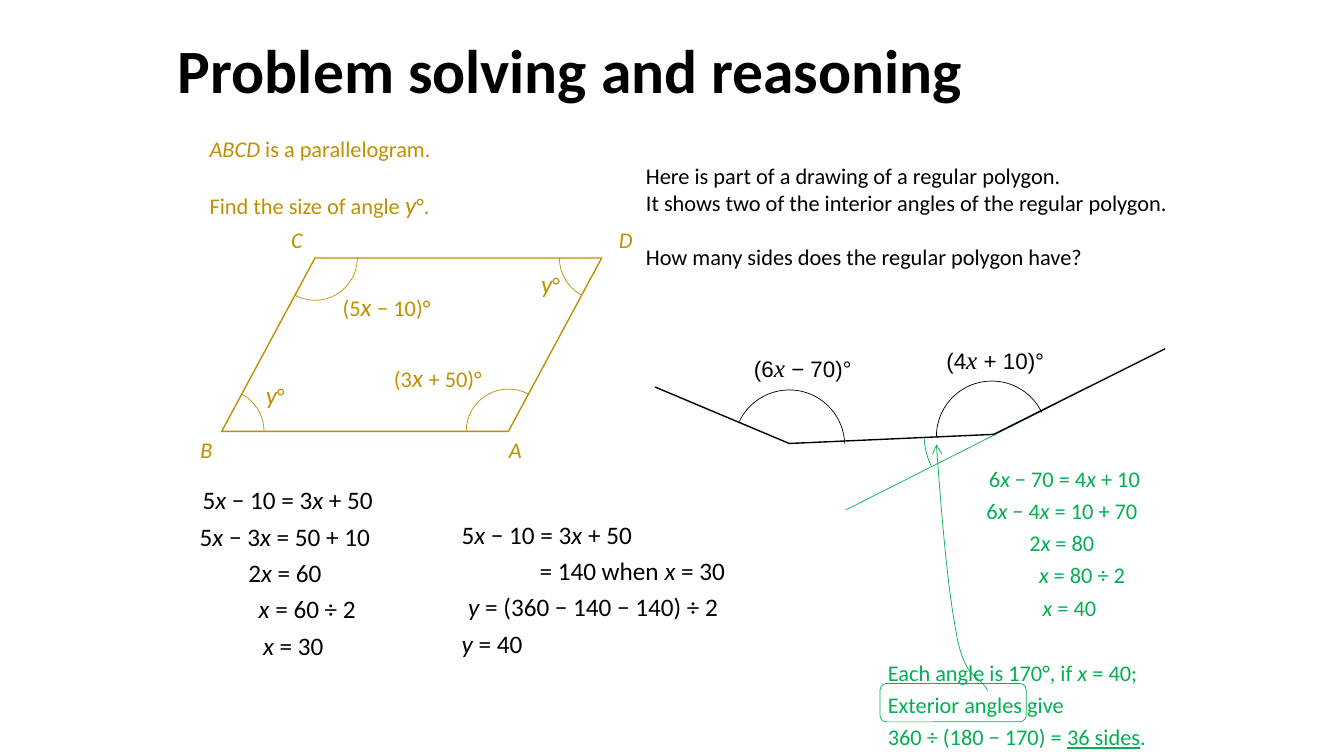
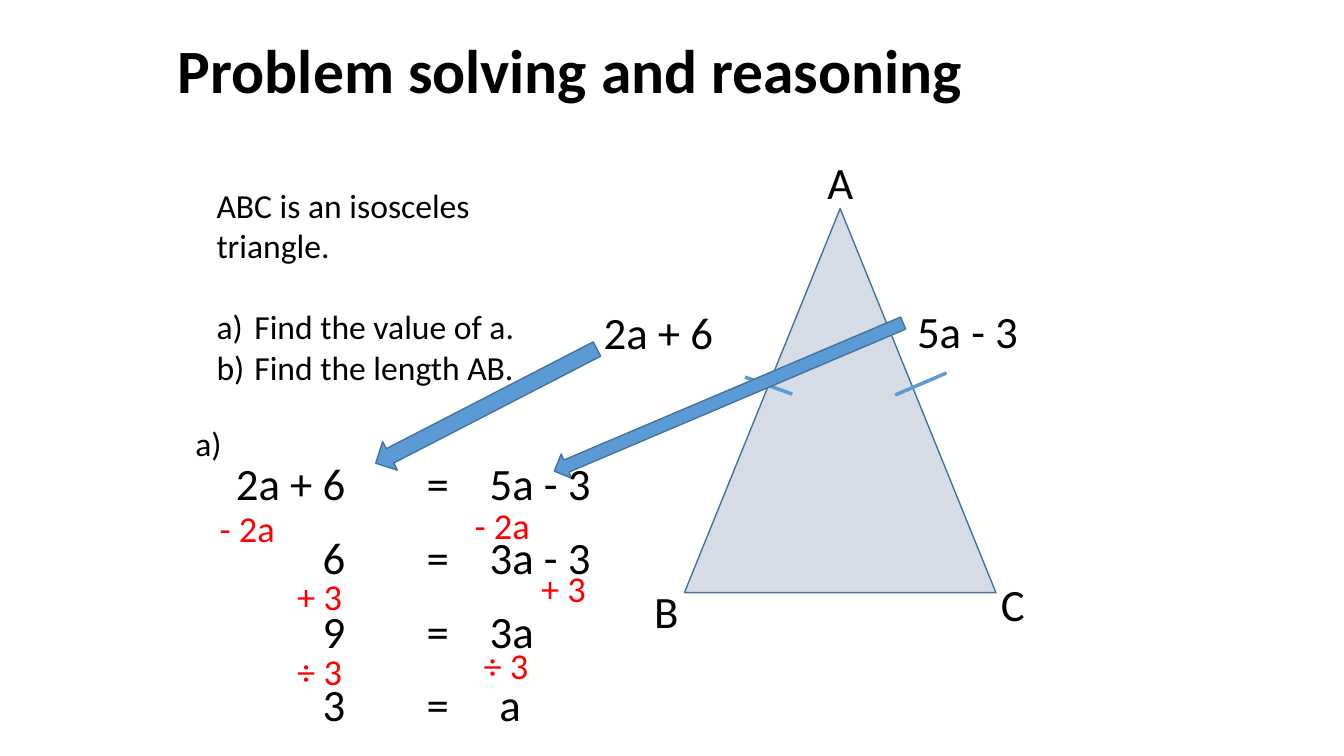
from dataclasses import dataclass
from math import atan2, degrees

from lxml.etree import SubElement
from pptx import Presentation
from pptx.dml.color import RGBColor
from pptx.enum.shapes import MSO_CONNECTOR as Connector, MSO_SHAPE as Preset
from pptx.enum.text import MSO_ANCHOR as Anchor, MSO_AUTO_SIZE as AutoSize, PP_ALIGN as Align
from pptx.oxml.ns import qn
from pptx.util import Pt

COLORS = {
    "black": "000000", "gold": "BF9000", "green": "00B050", "red": "FF0000",
    "blue": "5B9BD5", "edge": "43739E", "pale": "D6DCE5",
}


@dataclass
class Line:
    """One paragraph; the odd parts between bars are italic, or underlined after "_"."""
    text: str
    align: Align = Align.LEFT
    indent: float = 0
    before: float = 0
    numbered: bool = False
    tabs: tuple = ()
    accent: tuple = ()  # font and size of the italic parts


class Lesson:
    def __init__(self):
        self.deck = Presentation()
        self.deck.slide_width, self.deck.slide_height = Pt(960), Pt(540)
        self.page = None

    def new_page(self):
        self.page = self.deck.slides.add_slide(self.deck.slide_layouts[6])
        self.text((120, 0, 620.6, 104.4), "Problem solving and reasoning", size=44,
                  bold=True, spacing=0.9, anchor=Anchor.MIDDLE, grow=False)

    # Text
    def text(self, place, *lines, size=16, color="black", font="Calibri",
             bold=None, spacing=None, wrap=True, anchor=Anchor.TOP, grow=True):
        box = self.page.shapes.add_textbox(*map(Pt, place))
        frame = box.text_frame
        frame.word_wrap = wrap
        frame.auto_size = AutoSize.SHAPE_TO_FIT_TEXT if grow else AutoSize.NONE
        frame.vertical_anchor = anchor
        for index, line in enumerate(lines):
            if isinstance(line, str):
                line = Line(line)
            para = frame.paragraphs[0] if index == 0 else frame.add_paragraph()
            self.layout(para, line, spacing)
            para.font.name, para.font.size, para.font.bold = font, Pt(size), bold
            para.font.color.rgb = RGBColor.from_string(COLORS[color])
            self.spans(para, line)

    def layout(self, para, line, spacing):
        para.alignment = line.align
        if spacing:
            para.line_spacing = spacing
        if line.before:
            para.space_before = Pt(line.before)
        props = para._p.get_or_add_pPr()
        if line.indent:
            props.set("marL", str(Pt(line.indent)))
        if line.numbered:
            props.set("indent", str(-Pt(line.indent)))
            SubElement(props, qn("a:buAutoNum"), type="alphaLcParenR")
        if line.tabs:
            stops = SubElement(props, qn("a:tabLst"))
            for place, side in line.tabs:
                SubElement(stops, qn("a:tab"), pos=str(Pt(place)), algn=side)

    def spans(self, para, line):
        for index, part in enumerate(line.text.split("|")):
            if not part:
                continue
            span = para.add_run()
            span.text = part.lstrip("_")
            if index % 2 and part.startswith("_"):
                span.font.underline = True
            elif index % 2:
                span.font.italic = True
                if line.accent:
                    span.font.name, span.font.size = line.accent[0], Pt(line.accent[1])

    # Drawing
    def style(self, shape, line, width, fill=None):
        shape.shadow.inherit = False
        if fill:
            shape.fill.solid()
            shape.fill.fore_color.rgb = RGBColor.from_string(COLORS[fill])
        else:
            shape.fill.background()
        self.stroke(shape, line, width)

    def stroke(self, item, color, width):
        item.line.color.rgb = RGBColor.from_string(COLORS[color])
        item.line.width = Pt(width)

    def shape(self, preset, place, line, width, fill=None, turn=0, adjust=()):
        shape = self.page.shapes.add_shape(preset, *map(Pt, place))
        for index, value in enumerate(adjust):
            shape.adjustments[index] = value
        shape.rotation = turn
        self.style(shape, line, width, fill)

    def arc(self, center, radius, start, end, color):
        """Angles run clockwise from the right, in degrees."""
        x, y = center
        self.shape(Preset.ARC, (x - radius, y - radius, 2 * radius, 2 * radius), color, 0.5,
                   adjust=[angle % 360 * 0.6 for angle in (start, end)])

    def line(self, start, end, color, width):
        line = self.page.shapes.add_connector(Connector.STRAIGHT, *map(Pt, start + end))
        self.stroke(line, color, width)
        SubElement(line._element.spPr, qn("a:effectLst"))

    def polyline(self, points, color, width, arrow=False):
        first, *rest = [(Pt(x), Pt(y)) for x, y in points]
        builder = self.page.shapes.build_freeform(*first)
        builder.add_line_segments(rest, close=False)
        outline = builder.convert_to_shape()
        self.style(outline, color, width)
        if arrow:
            SubElement(outline.line._get_or_add_ln(), qn("a:tailEnd"), type="arrow")


def bezier(a, b, c, d, steps=16):
    for step in range(1, steps + 1):
        t = step / steps
        s = 1 - t
        yield tuple(s**3 * p + 3 * s * s * t * q + 3 * s * t * t * r + t**3 * u
                    for p, q, r, u in zip(a, b, c, d))


def solution(indent, *texts):
    """Centred working, shifted so that the equals signs come close together."""
    return [Line(text, Align.CENTER, steps * indent)
            for text, steps in zip(texts, (1, 0, 0, 8, 3))]


def parallelogram_question(lesson):
    large = ("Calibri", 18)
    lesson.text((142.6, 92.9, 174.2, 67.7), "|ABCD| is a parallelogram.",
                Line("Find the size of angle |y|°.", before=19.5, accent=large),
                color="gold", wrap=False)

    # Parallelogram and its angles
    left, top, width, height, skew = 158.4, 184.3, 271.4, 123.8, 66.6
    right, bottom = left + width, top + height
    lesson.shape(Preset.PARALLELOGRAM, (left, top, width, height), "gold", 1,
                 adjust=[skew / height])
    slant = 180 - degrees(atan2(height, skew))
    for center, start, end in [
        ((right, top), slant, 180),
        ((left, bottom), slant + 180, 360),
        ((right - skew, bottom), 180, slant + 180),
        ((left + skew, top), 0, slant),
    ]:
        lesson.arc(center, 30.2, start, end, "gold")
    for text, x, y, wide in [
        ("(3|x |+ 50)°", 274.3, 255.6, 79.2), ("(5|x |− 10)°", 237.6, 204.5, 79.2),
        ("|y|°", 182.9, 267.1, 28.8), ("|y|°", 379.4, 187.9, 28.8),
    ]:
        lesson.text((x, y, wide, 28.8), Line(text, accent=large), color="gold", wrap=False)
    for letter, x, y in [("C", 200.9, 157.7), ("D", 434.9, 157.7),
                         ("A", 356.4, bottom), ("B", 136.1, bottom)]:
        lesson.text((x, y, 23.6, 26.6), f"|{letter}|", color="gold", wrap=False)

    # Working
    lesson.text((128.2, 338.4, 150.5, 136), *solution(
        4, "5|x| − 10 = 3|x| + 50", "5|x| − 3|x| = 50 + 10", "2|x| = 60",
        "|x| = 60 ÷ 2", "|x| = 30"), size=18, spacing=1.2)
    lesson.text((322.6, 362.9, 202.3, 112.3),
                "5|x| − 10 = 3|x| + 50",
                Line("= 140 when |x| = 30", Align.RIGHT),
                Line("|y| = (360 − 140 − 140) ÷ 2", Align.CENTER),
                "|y |= 40", size=18, spacing=1.2)


def polygon_question(lesson):
    lesson.line((753.8, 288.7), (604.1, 364.3), "green", 0.5)
    lesson.text((454.3, 112.3, 391.7, 85),
                "Here is part of a drawing of a regular polygon.",
                "It shows two of the interior angles of the regular polygon.",
                Line("How many sides does the regular polygon have?", before=19.5), wrap=False)

    # Working
    lesson.text((627.1, 324.7, 262.8, 215.3), *solution(
        3.6, "6|x| − 70 = 4|x| + 10", "6|x| − 4|x| = 10 + 70", "2|x| = 80",
        "|x| = 80 ÷ 2", "|x| = 40"),
        Line("Each angle is 170°, if |x| = 40;", before=23.4),
        "Exterior angles give", "360 ÷ (180 − 170) = |_36 sides|.",
        color="green", spacing=1.2)

    # Polygon sides and angles
    lesson.arc((563.8, 318.2), 39.6, 205.5, 358.2, "black")
    lesson.arc((708.5, 311.8), 39.6, 180.2, 334.2, "black")
    for text, x, y in [("(6|x |− 70)°", 531.4, 248.4), ("(4|x |+ 10)°", 668.9, 242.6)]:
        lesson.text((x, y, 85.7, 28.8), Line(text, accent=("Times New Roman", 18)),
                    font="Arial", wrap=False)
    lesson.arc((708.1, 311.4), 47.9, 152.6, 178.9, "green")
    lesson.polyline([(468, 276.5), (563.8, 316.8), (709.9, 310.3), (832.3, 249.1)], "black", 1)

    # Pointer from the words to the exterior angle
    start, middle, tip = (705.6, 493.2), (684, 457.2), (668.9, 317.5)
    lesson.polyline([start, *bezier(start, (698.4, 481), (690.5, 486), middle),
                     *bezier(middle, (678.2, 427.7), (673.9, 388.1), tip)],
                    "green", 0.5, arrow=True)
    lesson.shape(Preset.ROUNDED_RECTANGLE, (628.6, 488.2, 104.4, 27.4), "green", 0.5)


def triangle_question(lesson):
    # Triangle
    lesson.shape(Preset.ISOSCELES_TRIANGLE, (488.9, 149, 222.5, 274.3), "edge", 1, "pale")
    lesson.line((532.1, 269.3), (565.9, 281.5), "blue", 2.5)
    lesson.line((639.4, 282.2), (676.1, 266.4), "blue", 2.5)
    lesson.text((147.6, 128.2, 234.7, 152.6), "ABC is an isosceles triangle.",
                Line("Find the value of a.", indent=27, before=29.3, numbered=True),
                Line("Find the length AB.", indent=27, numbered=True), size=24)
    for text, x, y in [("5a - 3", 648, 213.1), ("2a + 6", 424.1, 213.8), ("A", 583.9, 107.3),
                       ("B", 460.1, 413.3), ("C", 707.8, 408.2)]:
        lesson.text((x, y, 124.6, 46.1), text, size=32)

    # Arrows from the sides to the equation
    for place, turn in [((385.2, 274.3, 270.7, 18.7), 337), ((258.5, 278.6, 177.8, 23), 332.7)]:
        lesson.shape(Preset.LEFT_ARROW, place, "edge", 1, "blue", turn)

    # Equation, one row a step
    rows = [("2a + 6", "5a - 3", 182), ("6", "3a - 3", 182), ("9", "3a", 182), ("3", "a", 189)]
    for index, (before, after, stop) in enumerate(rows):
        lesson.text((160.7, 322 + 52.7 * index, 330, 46.1),
                    Line(f"\t{before}\t=\t{after}",
                         tabs=((79, "r"), (137, "l"), (stop, "l"))), size=32)
    for text, x, y, wide in [
        ("- 2a", 149.8, 357.8, 60.5), ("- 2a", 331.9, 355.7, 60.5),
        ("+ 3", 379.4, 401, 52.6), ("+ 3", 205.2, 406.8, 52.6),
        ("÷ 3", 205.2, 460.1, 52.6), ("÷ 3", 338.4, 455.8, 52.6),
    ]:
        lesson.text((x, y, wide, 38.9), text, size=26, color="red", wrap=False)
    lesson.text((132.5, 298.8, 33.8, 36), "a)", size=24, wrap=False)


def main():
    lesson = Lesson()
    lesson.new_page()
    parallelogram_question(lesson)
    polygon_question(lesson)
    lesson.new_page()
    triangle_question(lesson)
    lesson.deck.save("out.pptx")


if __name__ == "__main__":
    main()
